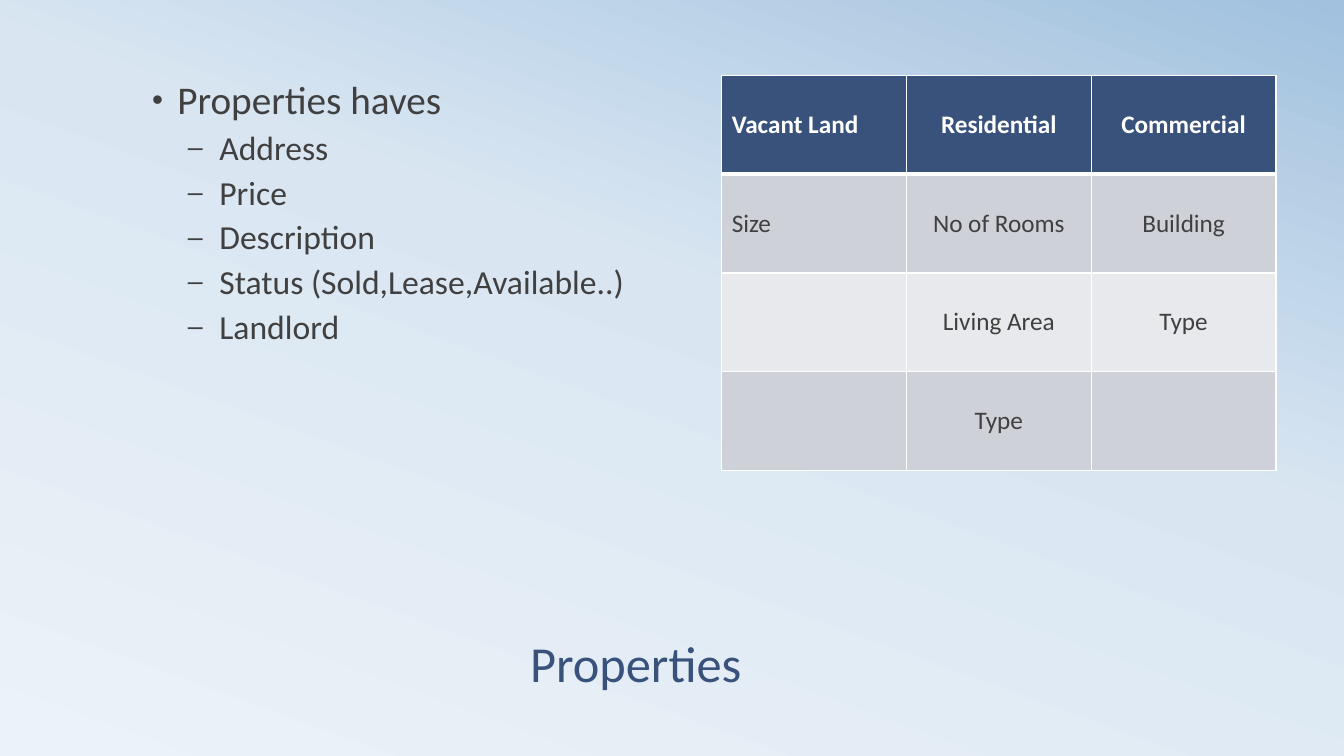
from copy import deepcopy

from lxml.etree import SubElement
from pptx import Presentation
from pptx.dml.color import RGBColor
from pptx.enum.text import MSO_ANCHOR as Anchor, MSO_AUTO_SIZE as AutoSize, PP_ALIGN as Align
from pptx.oxml.ns import qn
from pptx.util import Pt

COLORS = {
    "navy": "39527B", "text": "404040", "white": "FFFFFF",
    "band_dark": "CED1D7", "band_light": "E8E9EC",
    "sky_pale": "ECF3F8", "sky_mid": "D9E6F2", "sky_deep": "A1C1DE",
}


def color(name):
    return RGBColor.from_string(COLORS[name])


def write(para, text, size, ink="text", bold=False, align=Align.LEFT, spacing=1.0, before=0):
    para.alignment = align
    para.line_spacing = spacing
    para.space_before = Pt(before)
    span = para.add_run()
    span.text = text
    span.font.name = "Calibri"
    span.font.size = Pt(size)
    span.font.bold = bold
    span.font.color.rgb = color(ink)


deck = Presentation()
deck.slide_width, deck.slide_height = Pt(960), Pt(540)
page = deck.slides.add_slide(deck.slide_layouts[1])

# Background gradient, from lower left to upper right
fill = page.background.fill
fill.gradient()
fill.gradient_angle = 70
stop_list = page.element.find(".//" + qn("a:gsLst"))
stop_list.append(deepcopy(stop_list[0]))
sky = [(0, "sky_pale"), (0.58, "sky_mid"), (1, "sky_deep")]
for stop, (position, name) in zip(fill.gradient_stops, sky):
    stop.position = position
    stop.color.rgb = color(name)

# Title and body placeholders
title, body = page.shapes.title, page.placeholders[1]
for box, left, top, width, height, anchor in [
    (title, 371.5, 414, 228, 84, Anchor.BOTTOM),
    (body, 101.5, 54, 396, 330, Anchor.TOP),
]:
    box.left, box.top, box.width, box.height = Pt(left), Pt(top), Pt(width), Pt(height)
    box.text_frame.word_wrap = True
    box.text_frame.auto_size = AutoSize.NONE
    box.text_frame.vertical_anchor = anchor

write(title.text_frame.paragraphs[0], "Properties", 36, ink="navy", spacing=0.8)

# Bulleted list: one heading, then its details
items = ["Properties haves", "Address", "Price", "Description",
         "Status (Sold,Lease,Available..)", "Landlord"]
levels = [
    {"size": 28, "before": 18, "margin": 18, "hang": 18, "bullet": "•"},
    {"size": 24, "before": 6, "margin": 48, "hang": 22.5, "bullet": "–"},
]
for index, item in enumerate(items):
    para = body.text_frame.add_paragraph() if index else body.text_frame.paragraphs[0]
    para.level = min(index, 1)
    level = levels[para.level]
    write(para, item, level["size"], spacing=0.9, before=level["before"])
    props = para._p.get_or_add_pPr()
    props.set("marL", str(Pt(level["margin"])))
    props.set("indent", str(-Pt(level["hang"])))
    SubElement(SubElement(props, qn("a:buClr")), qn("a:srgbClr"), val=COLORS["text"])
    SubElement(props, qn("a:buSzPct"), val="80000")
    SubElement(props, qn("a:buFont"), typeface="Arial")
    SubElement(props, qn("a:buChar"), char=level["bullet"])

# Table of property kinds
rows = [
    ["Vacant Land", "Residential", "Commercial"],
    ["Size", "No of Rooms", "Building"],
    ["", "Living Area", "Type"],
    ["", "Type", ""],
]
row_fills = ["navy", "band_dark", "band_light", "band_dark"]
table = page.shapes.add_table(4, 3, Pt(515.5), Pt(54), Pt(396), Pt(282)).table
for r, row in enumerate(rows):
    for c, text in enumerate(row):
        cell = table.cell(r, c)
        cell.vertical_anchor = Anchor.MIDDLE
        if text:
            write(cell.text_frame.paragraphs[0], text, 18, ink="text" if r else "white",
                  bold=r == 0, align=Align.CENTER if c else Align.LEFT)
        # White borders, heavier around the foot of the header row
        for side in "LRTB":
            heavy = (r, side) in [(0, "B"), (1, "T")]
            line = SubElement(cell._tc.get_or_add_tcPr(), qn("a:ln" + side),
                              w=str(Pt(3 if heavy else 1)))
            SubElement(SubElement(line, qn("a:solidFill")), qn("a:srgbClr"), val=COLORS["white"])
        cell.fill.solid()
        cell.fill.fore_color.rgb = color(row_fills[r])

deck.save("out.pptx")
